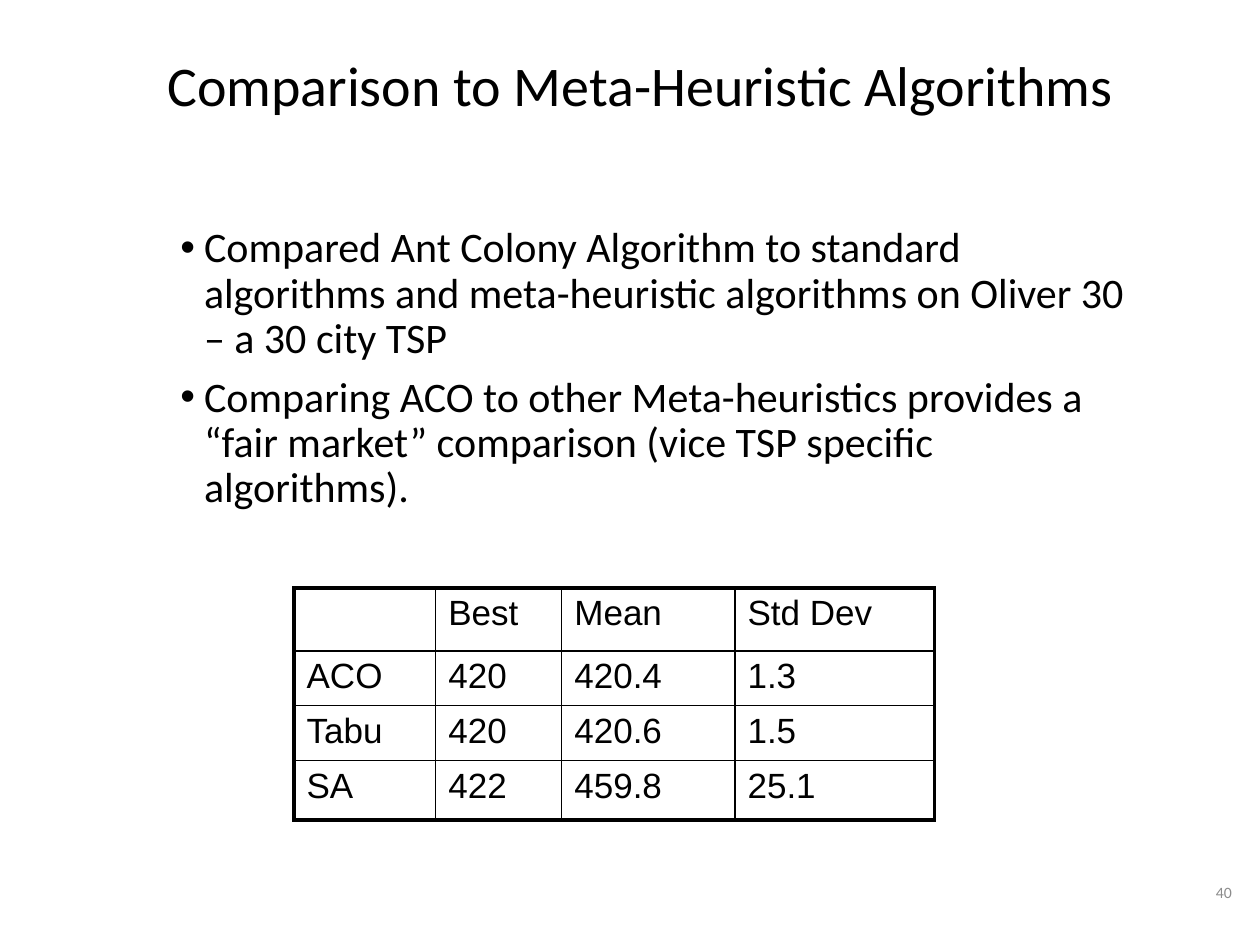
import pptx
import pptx.dml.color
import pptx.enum.text
import pptx.oxml.ns
import pptx.util
from lxml import etree
from pptx.util import Pt

ALIGN = pptx.enum.text.PP_ALIGN
ANCHOR = pptx.enum.text.MSO_ANCHOR
BLACK = "000000"
FINDINGS = [
    "Compared Ant Colony Algorithm to standard algorithms and meta-heuristic "
    "algorithms on Oliver 30 – a 30 city TSP",
    "Comparing ACO to other Meta-heuristics provides a “fair market” comparison "
    "(vice TSP specific algorithms).",
]
RESULTS = [
    ["", "Best", "Mean", "Std Dev"],
    ["ACO", "420", "420.4", "1.3"],
    ["Tabu", "420", "420.6", "1.5"],
    ["SA", "422", "459.8", "25.1"],
]
COLUMN_WIDTHS = [81, 72, 99, 114]
ROW_HEIGHTS = [36, 30, 30, 34]


def colour(hex_code):
    """Return the colour for a hex string."""
    return pptx.dml.color.RGBColor.from_string(hex_code)


def points(box):
    """Return a box of numbers as lengths in points."""
    return [Pt(value) for value in box]


def add_run(paragraph, wording, size, font="Calibri", hex_code=BLACK):
    """Add one formatted run to a paragraph."""
    run = paragraph.add_run()
    run.text = wording
    run.font.size = Pt(size)
    run.font.name = font
    run.font.color.rgb = colour(hex_code)


def add_bullet(paragraph, indent):
    """Give a paragraph a hanging round bullet."""
    properties = paragraph._p.get_or_add_pPr()
    properties.set("marL", str(Pt(indent)))
    properties.set("indent", str(-Pt(indent)))
    for tag, name, value in (("buFont", "typeface", "Arial"), ("buChar", "char", "•")):
        etree.SubElement(properties, pptx.oxml.ns.qn(f"a:{tag}")).set(name, value)


def add_border(cell, side, width):
    """Draw one side of a cell as a solid black line."""
    qn = pptx.oxml.ns.qn
    line = etree.SubElement(cell._tc.get_or_add_tcPr(), qn(f"a:ln{side}"), w=str(Pt(width)))
    fill = etree.SubElement(line, qn("a:solidFill"))
    etree.SubElement(fill, qn("a:srgbClr"), val=BLACK)


def place_title(slide, box):
    """Fill and place the title placeholder."""
    title = slide.shapes.title
    title.left, title.top, title.width, title.height = points(box)
    frame = title.text_frame
    frame.auto_size = pptx.enum.text.MSO_AUTO_SIZE.NONE
    frame.vertical_anchor = ANCHOR.MIDDLE
    heading = frame.paragraphs[0]
    heading.alignment = ALIGN.CENTER
    heading.line_spacing = 0.9
    add_run(heading, "Comparison to Meta-Heuristic Algorithms", 32)


def place_findings(slide, box):
    """Add the bulleted findings."""
    frame = slide.shapes.add_textbox(*points(box)).text_frame
    frame.word_wrap = True
    for index, wording in enumerate(FINDINGS):
        finding = frame.add_paragraph() if index else frame.paragraphs[0]
        finding.line_spacing = 0.9
        if index:
            finding.space_before = Pt(7.5)
        add_bullet(finding, 13.5)
        add_run(finding, wording, 24)


def place_results(slide, left, top):
    """Add the results table with a heavy outer frame."""
    last_row, last_column = len(RESULTS) - 1, len(COLUMN_WIDTHS) - 1
    box = points((left, top, sum(COLUMN_WIDTHS), sum(ROW_HEIGHTS)))
    table = slide.shapes.add_table(last_row + 1, last_column + 1, *box).table
    table.first_row = table.horz_banding = False
    for column, width in zip(table.columns, COLUMN_WIDTHS):
        column.width = Pt(width)
    for row, height in zip(table.rows, ROW_HEIGHTS):
        row.height = Pt(height)
    for r, values in enumerate(RESULTS):
        for c, value in enumerate(values):
            cell = table.cell(r, c)
            outer = {"L": c == 0, "R": c == last_column, "T": r == 0, "B": r == last_row}
            for side, heavy in outer.items():
                add_border(cell, side, 2.25 if heavy else 1)
            cell.fill.background()
            if value:
                add_run(cell.text_frame.paragraphs[0], value, 20, "Arial")


def place_page_number(slide, box):
    """Add the page number."""
    frame = slide.shapes.add_textbox(*points(box)).text_frame
    frame.word_wrap = True
    frame.vertical_anchor = ANCHOR.MIDDLE
    number = frame.paragraphs[0]
    number.alignment = ALIGN.RIGHT
    add_run(number, "40", 9, hex_code="8C8C8C")


def main():
    """Build and save the slide."""
    deck = pptx.Presentation()
    deck.slide_width, deck.slide_height = Pt(720), Pt(540)
    slide = deck.slides.add_slide(deck.slide_layouts[5])
    place_title(slide, (60, 29.5, 612, 42))
    place_findings(slide, (96, 126, 567, 191.5))
    place_results(slide, 168, 336)
    place_page_number(slide, (561, 492, 150, 36))
    deck.save("out.pptx")


if __name__ == "__main__":
    main()
